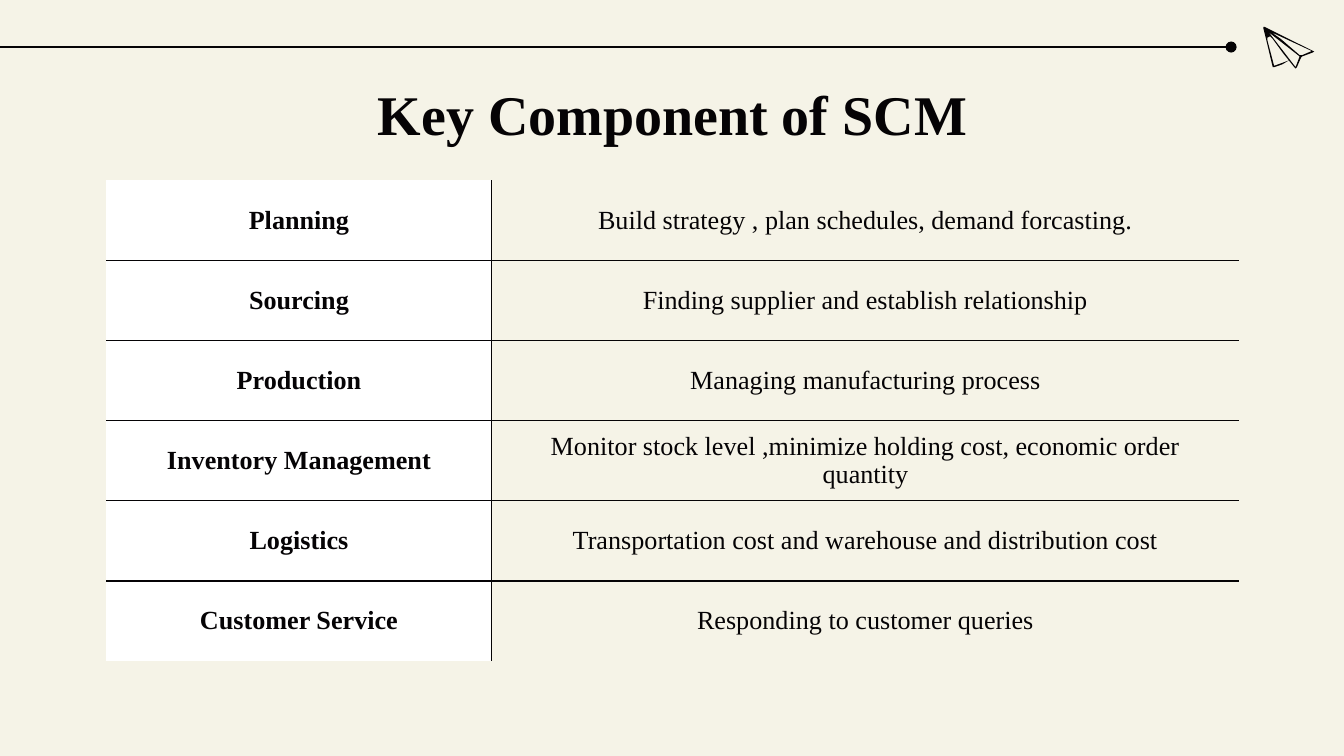
from lxml import etree
from pptx import Presentation
from pptx.dml.color import RGBColor
from pptx.enum.shapes import MSO_CONNECTOR
from pptx.enum.text import MSO_ANCHOR, PP_ALIGN
from pptx.oxml.ns import qn
from pptx.util import Inches, Pt

STRAIGHT = MSO_CONNECTOR.STRAIGHT
MIDDLE = MSO_ANCHOR.MIDDLE
TOP = MSO_ANCHOR.TOP
CENTER = PP_ALIGN.CENTER
FONT = "Times New Roman"
INK, PAPER, WHITE = "050305", "F5F3E7", "FFFFFF"
LINE_WIDTH = Pt(0.75)

COMPONENTS = [
    ("Planning", "Build strategy , plan schedules, demand forcasting."),
    ("Sourcing", "Finding supplier and establish relationship"),
    ("Production", "Managing manufacturing process"),
    ("Inventory Management",
     "Monitor stock level ,minimize holding cost, economic order quantity"),
    ("Logistics", "Transportation cost and warehouse and distribution cost"),
    ("Customer Service", "Responding to customer queries"),
]

PLANE_CONTOURS = [
    [(19, 25), (23, 30), (24, 31), (25, 30), (28, 23), (29, 22), (37, 19), (38, 18),
     (37, 18), (1, 0), (0, 0), (0, 1), (2, 9), (7, 30), (8, 30), (14, 28)],
    [(8, 29), (3, 10), (3, 8), (5, 7), (7, 9), (15, 20), (19, 25)],
    [(24, 30), (4, 4), (27, 22)],
    [(6, 4), (36, 18), (29, 21), (27, 21), (13, 9)],
]


def color(value):
    """Turn a hex string into a colour."""
    return RGBColor.from_string(value)


def add_text(para, text, size, bold):
    """Add one centred run to a paragraph."""
    para.alignment = CENTER
    span = para.add_run()
    span.text = text
    span.font.name = FONT
    span.font.size = Pt(size)
    span.font.bold = bold
    span.font.color.rgb = color(INK)


def add_header_rule(page, left, top, width):
    """Draw the header line with a dot at its right end."""
    rule = page.shapes.add_connector(STRAIGHT, left + width, top, left, top)
    rule.line.color.rgb = color(INK)
    rule.line.width = LINE_WIDTH
    etree.SubElement(rule.line._get_or_add_ln(), qn("a:headEnd"), type="oval",
                     w="med", len="med")
    etree.SubElement(rule._element.spPr, qn("a:effectLst"))


def add_paper_plane(page, left, top):
    """Draw the paper plane as a filled outline with three openings."""
    start, *rest = PLANE_CONTOURS[0]
    builder = page.shapes.build_freeform(*start, scale=Inches(0.01))
    builder.add_line_segments(rest)
    for first, *others in PLANE_CONTOURS[1:]:
        builder.move_to(*first)
        builder.add_line_segments(others)
    plane = builder.convert_to_shape(left, top)
    plane.shadow.inherit = False
    plane.fill.solid()
    plane.fill.fore_color.rgb = color(INK)
    plane.line.fill.background()


def add_title(page, left, top, width, height):
    """Place the slide title."""
    box = page.shapes.add_textbox(left, top, width, height)
    frame = box.text_frame
    frame.word_wrap = True
    frame.vertical_anchor = TOP
    frame.margin_top = frame.margin_bottom = Inches(0.1)
    add_text(frame.paragraphs[0], "Key Component of SCM", 30, True)


def set_borders(cell, inner_sides):
    """Draw the inner sides of a cell and hide the others."""
    properties = cell._tc.get_or_add_tcPr()
    for position, side in enumerate("LRTB"):
        border = etree.Element(qn(f"a:ln{side}"), w=str(LINE_WIDTH))
        if side in inner_sides:
            fill = etree.SubElement(border, qn("a:solidFill"))
            etree.SubElement(fill, qn("a:srgbClr"), val=INK)
        else:
            etree.SubElement(border, qn("a:noFill"))
        properties.insert(position, border)


def add_component_table(page, left, top, width, height):
    """Place the table of components and their descriptions."""
    count = len(COMPONENTS)
    table = page.shapes.add_table(count, 2, left, top, width, height).table
    table.first_row = False
    table.horz_banding = False
    name_width = Inches(2.87)
    table.columns[0].width = name_width
    table.columns[1].width = width - name_width
    for row, texts in enumerate(COMPONENTS):
        table.rows[row].height = height // count
        row_sides = ("T" if row > 0 else "") + ("B" if row < count - 1 else "")
        for column, text in enumerate(texts):
            cell = table.cell(row, column)
            cell.vertical_anchor = MIDDLE
            cell.margin_top = cell.margin_bottom = 0
            is_name = column == 0
            if is_name:
                cell.fill.solid()
                cell.fill.fore_color.rgb = color(WHITE)
            else:
                cell.fill.background()
            set_borders(cell, row_sides + ("R" if is_name else "L"))
            add_text(cell.text_frame.paragraphs[0], text, 14, is_name)


def main():
    """Build the slide and save it."""
    deck = Presentation()
    deck.slide_width = Inches(10)
    deck.slide_height = deck.slide_width * 9 // 16
    page = deck.slides.add_slide(deck.slide_layouts[6])
    page.background.fill.solid()
    page.background.fill.fore_color.rgb = color(PAPER)
    left, width = Inches(0.79), Inches(8.43)
    add_header_rule(page, 0, Inches(0.35), Inches(9.16))
    add_paper_plane(page, Inches(9.4), Inches(0.2))
    add_title(page, left, Inches(0.49), width, Inches(0.63))
    add_component_table(page, left, Inches(1.34), width, Inches(3.58))
    deck.save("out.pptx")


if __name__ == "__main__":
    main()
